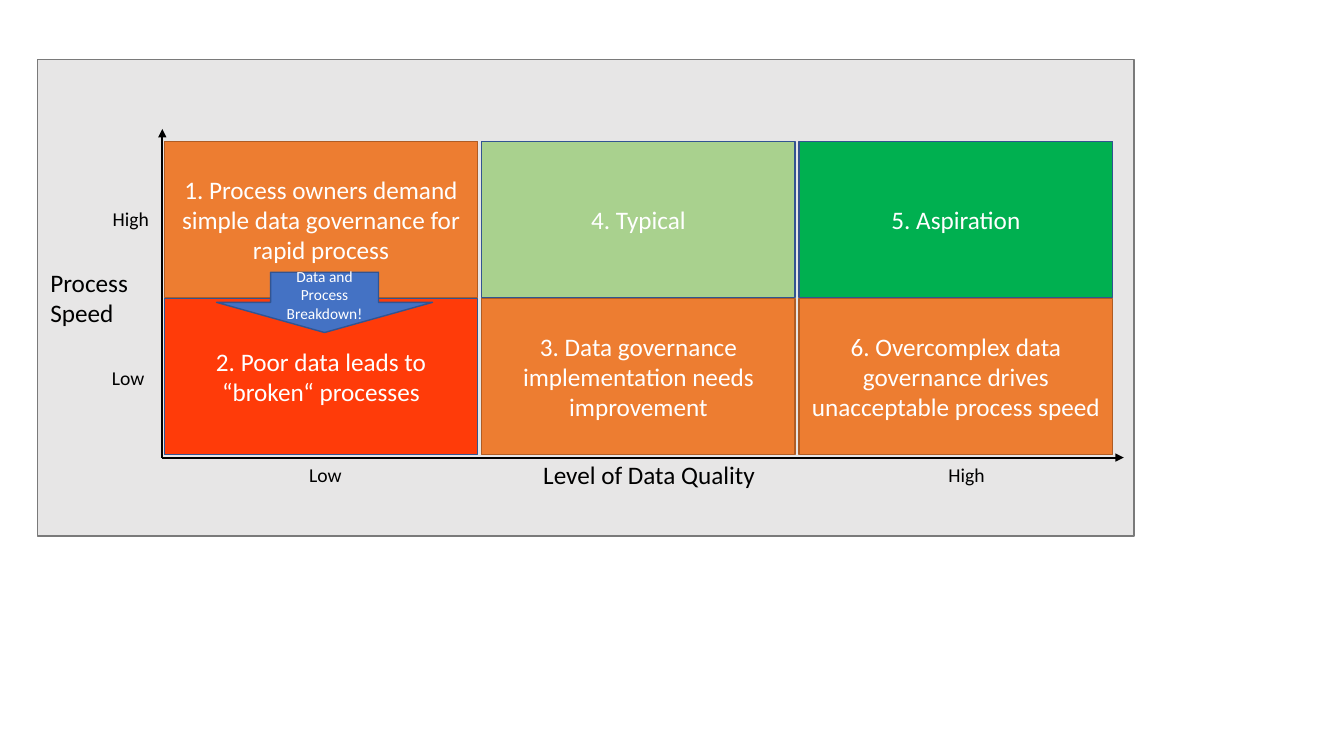
from lxml.etree import SubElement
from pptx import Presentation
from pptx.dml.color import RGBColor
from pptx.enum.shapes import MSO_CONNECTOR, MSO_SHAPE
from pptx.enum.text import MSO_ANCHOR, MSO_AUTO_SIZE, PP_ALIGN
from pptx.oxml.ns import qn
from pptx.util import Cm, Pt

COLORS = {
    "panel": "E7E6E6",
    "panel_edge": "7A7A7A",
    "black": "000000",
    "white": "FFFFFF",
    "orange": "ED7D31",
    "orange_edge": "AF5C24",
    "red": "FF3B09",
    "light_green": "A9D18E",
    "green": "00B050",
    "blue": "4472C4",
    "blue_edge": "325491",
}

GRID_LEFT, GRID_TOP = 4.14, 3.56
CELL_WIDTH, CELL_HEIGHT = 7.9, 3.94
COLUMN_STEP, ROW_STEP = 8, 3.96
AXIS_LEFT, AXIS_BOTTOM = 4.09, 11.53

CELLS = [
    (0, 1, "2. Poor data leads to “broken“ processes", "red", "blue_edge"),
    (0, 0, "1. Process owners demand simple data governance for rapid process",
     "orange", "orange_edge"),
    (2, 0, "5. Aspiration", "green", "blue_edge"),
    (2, 1, "6. Overcomplex data governance drives unacceptable process speed",
     "orange", "orange_edge"),
    (1, 0, "4. Typical", "light_green", "blue_edge"),
    (1, 1, "3. Data governance implementation needs improvement",
     "orange", "orange_edge"),
]

LABELS = [
    ("Process Speed", 1.02, 6.6, 2.51, 1.8, 18),
    ("Level of Data Quality", 13.44, 11.46, 7.19, 1.02, 18),
    ("High", 2.59, 5.08, 1.55, 0.86, 14),
    ("Low", 2.57, 9.09, 1.55, 0.86, 14),
    ("Low", 7.54, 11.53, 1.55, 0.86, 14),
    ("High", 23.65, 11.53, 1.55, 0.86, 14),
]


def color(name):
    return RGBColor.from_string(COLORS[name])


def write(frame, text, size, ink):
    frame.word_wrap = True
    para = frame.paragraphs[0]
    para.text = text
    para.font.name = "Calibri"
    para.font.size = Pt(size)
    para.font.color.rgb = color(ink)
    return para


def add_block(page, kind, left, top, width, height, fill, edge, text="", size=18):
    block = page.shapes.add_shape(kind, Cm(left), Cm(top), Cm(width), Cm(height))
    block.shadow.inherit = False
    block.fill.solid()
    block.fill.fore_color.rgb = color(fill)
    block.line.color.rgb = color(edge)
    block.line.width = Pt(1)
    if text:
        block.text_frame.vertical_anchor = MSO_ANCHOR.MIDDLE
        write(block.text_frame, text, size, "white").alignment = PP_ALIGN.CENTER


def add_label(page, text, left, top, width, height, size):
    box = page.shapes.add_textbox(Cm(left), Cm(top), Cm(width), Cm(height))
    write(box.text_frame, text, size, "black")
    box.text_frame.auto_size = MSO_AUTO_SIZE.SHAPE_TO_FIT_TEXT


def add_axis(page, end_left, end_top):
    axis = page.shapes.add_connector(
        MSO_CONNECTOR.STRAIGHT,
        Cm(AXIS_LEFT), Cm(AXIS_BOTTOM), Cm(end_left), Cm(end_top))
    axis.line.color.rgb = color("black")
    axis.line.width = Pt(1.5)
    SubElement(axis.line._get_or_add_ln(), qn("a:tailEnd"), type="triangle")
    SubElement(axis._element.spPr, qn("a:effectLst"))


def main():
    deck = Presentation()
    deck.slide_width, deck.slide_height = Cm(33.87), Cm(19.05)
    page = deck.slides.add_slide(deck.slide_layouts[6])

    add_block(page, MSO_SHAPE.RECTANGLE, 0.94, 1.5, 27.64, 12.01,
              "panel", "panel_edge")
    add_axis(page, 28.32, AXIS_BOTTOM)
    add_axis(page, AXIS_LEFT, 3.25)
    for label in LABELS:
        add_label(page, *label)
    for column, row, text, fill, edge in CELLS:
        add_block(page, MSO_SHAPE.RECTANGLE,
                  GRID_LEFT + column * COLUMN_STEP, GRID_TOP + row * ROW_STEP,
                  CELL_WIDTH, CELL_HEIGHT, fill, edge, text)
    add_block(page, MSO_SHAPE.DOWN_ARROW, 5.46, 6.86, 5.44, 1.52,
              "blue", "blue_edge", "Data and Process Breakdown!", 11)

    deck.save("out.pptx")


if __name__ == "__main__":
    main()
